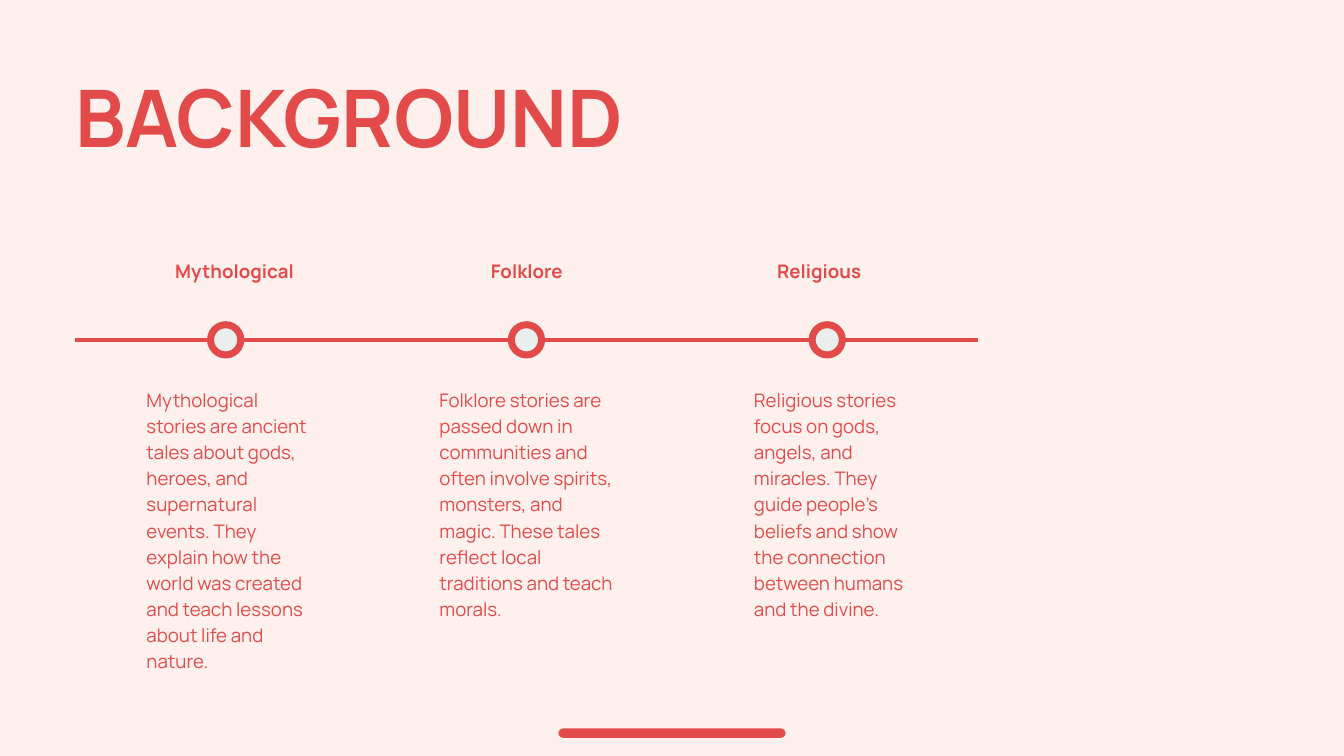
"""Build a slide with a title and a three-stage timeline."""
from dataclasses import dataclass

import pptx
import pptx.dml.color
import pptx.enum.shapes
import pptx.enum.text
import pptx.oxml.ns
import pptx.util
from lxml import etree

SHAPE = pptx.enum.shapes.MSO_SHAPE
ALIGN = pptx.enum.text.PP_ALIGN
WIDTH, HEIGHT = pptx.util.Inches(20), pptx.util.Inches(11.25)


@dataclass(frozen=True)
class Theme:
    font: str = "Manrope"
    paper: str = "FEF1ED"
    accent: str = "E34B4B"
    marker: str = "EAEEED"
    title_size: float = 85
    title_leading: float = 91.8
    text_size: float = 20
    text_leading: float = 28
    track_width: float = 4
    ring_width: float = 7.5


@dataclass(frozen=True)
class Box:
    left: float
    top: float
    width: float
    height: float

    def emu(self) -> tuple[int, int, int, int]:
        return (across(self.left), down(self.top),
                across(self.width), down(self.height))


@dataclass(frozen=True)
class Stage:
    heading: str
    body: str
    body_left: float
    body_height: float


THEME = Theme()
MARGIN = 5.6
PITCH = 22.38
HEADING_LEFT, HEADING_PITCH = 9.25, 21.75
TRACK_TOP = 44.95
MARKER = 2.25

STAGES = [
    Stage("Mythological",
          "Mythological stories are ancient tales about gods, heroes, and "
          "supernatural events. They explain how the world was created and "
          "teach lessons about life and nature.", 10.9, 37.87),
    Stage("Folklore",
          "Folklore stories are passed down in communities and often involve "
          "spirits, monsters, and magic. These tales reflect local traditions "
          "and teach morals.", 32.7, 31.02),
    Stage("Religious",
          "Religious stories focus on gods, angels, and miracles. They guide "
          "people’s beliefs and show the connection between humans and the "
          "divine.", 56.1, 31.02),
]


def across(share: float) -> int:
    return round(WIDTH * share / 100)


def down(share: float) -> int:
    return round(HEIGHT * share / 100)


def rgb(value: str) -> pptx.dml.color.RGBColor:
    return pptx.dml.color.RGBColor.from_string(value)


def write(sp, text: str, size: float, leading: float,
          bold: bool = False, align=ALIGN.LEFT) -> None:
    tf = sp.text_frame
    tf.word_wrap = True
    tf.auto_size = pptx.enum.text.MSO_AUTO_SIZE.NONE
    tf.vertical_anchor = pptx.enum.text.MSO_ANCHOR.TOP
    tf.margin_left = tf.margin_top = tf.margin_right = tf.margin_bottom = 0
    p = tf.paragraphs[0]
    p.text = text
    p.alignment = align
    p.line_spacing = pptx.util.Pt(leading)
    p.font.name = THEME.font
    p.font.size = pptx.util.Pt(size)
    p.font.bold = bold
    p.font.color.rgb = rgb(THEME.accent)


def add_title(s, text: str, box: Box) -> None:
    sp = s.shapes.title
    sp.left, sp.top, sp.width, sp.height = box.emu()
    write(sp, text, THEME.title_size, THEME.title_leading, bold=True)


def add_text(s, text: str, box: Box, bold: bool = False,
             align=ALIGN.LEFT) -> None:
    write(s.shapes.add_textbox(*box.emu()), text,
          THEME.text_size, THEME.text_leading, bold, align)


def add_track(s, start: float, end: float) -> None:
    y = down(TRACK_TOP)
    line = s.shapes.add_connector(pptx.enum.shapes.MSO_CONNECTOR.STRAIGHT,
                                  across(start), y, across(end), y)
    line.line.color.rgb = rgb(THEME.accent)
    line.line.width = pptx.util.Pt(THEME.track_width)
    etree.SubElement(line._element.spPr, pptx.oxml.ns.qn("a:effectLst"))


def add_marker(s, center: float) -> None:
    size = across(MARKER)
    sp = s.shapes.add_shape(SHAPE.OVAL, across(center) - size // 2,
                            down(TRACK_TOP) - size // 2, size, size)
    sp.shadow.inherit = False
    sp.fill.solid()
    sp.fill.fore_color.rgb = rgb(THEME.marker)
    sp.line.color.rgb = rgb(THEME.accent)
    sp.line.width = pptx.util.Pt(THEME.ring_width)


def add_bar(s, box: Box) -> None:
    sp = s.shapes.add_shape(SHAPE.ROUNDED_RECTANGLE, *box.emu())
    sp.adjustments[0] = 0.5
    sp.shadow.inherit = False
    sp.fill.solid()
    sp.fill.fore_color.rgb = rgb(THEME.accent)
    sp.line.fill.background()


def add_stage(s, column: int, stage: Stage) -> None:
    left = MARGIN + column * PITCH
    center = left + PITCH / 2
    add_track(s, left, center - MARKER / 2)
    add_track(s, center + MARKER / 2, left + PITCH)
    add_marker(s, center)
    add_text(s, stage.heading,
             Box(HEADING_LEFT + column * HEADING_PITCH, 33.87, 16.4, 3.56),
             bold=True, align=ALIGN.CENTER)
    add_text(s, stage.body,
             Box(stage.body_left, 50.93, 13, stage.body_height))


def main() -> None:
    prs = pptx.Presentation()
    prs.slide_width, prs.slide_height = WIDTH, HEIGHT
    s = prs.slides.add_slide(prs.slide_layouts.get_by_name("Title Only"))
    s.background.fill.solid()
    s.background.fill.fore_color.rgb = rgb(THEME.paper)
    add_title(s, "BACKGROUND", Box(MARGIN, 10.22, 60.05, 12.36))
    add_bar(s, Box(41.55, 96.36, 16.9, 1.24))
    for column, stage in enumerate(STAGES):
        add_stage(s, column, stage)
    prs.save("out.pptx")


if __name__ == "__main__":
    main()
